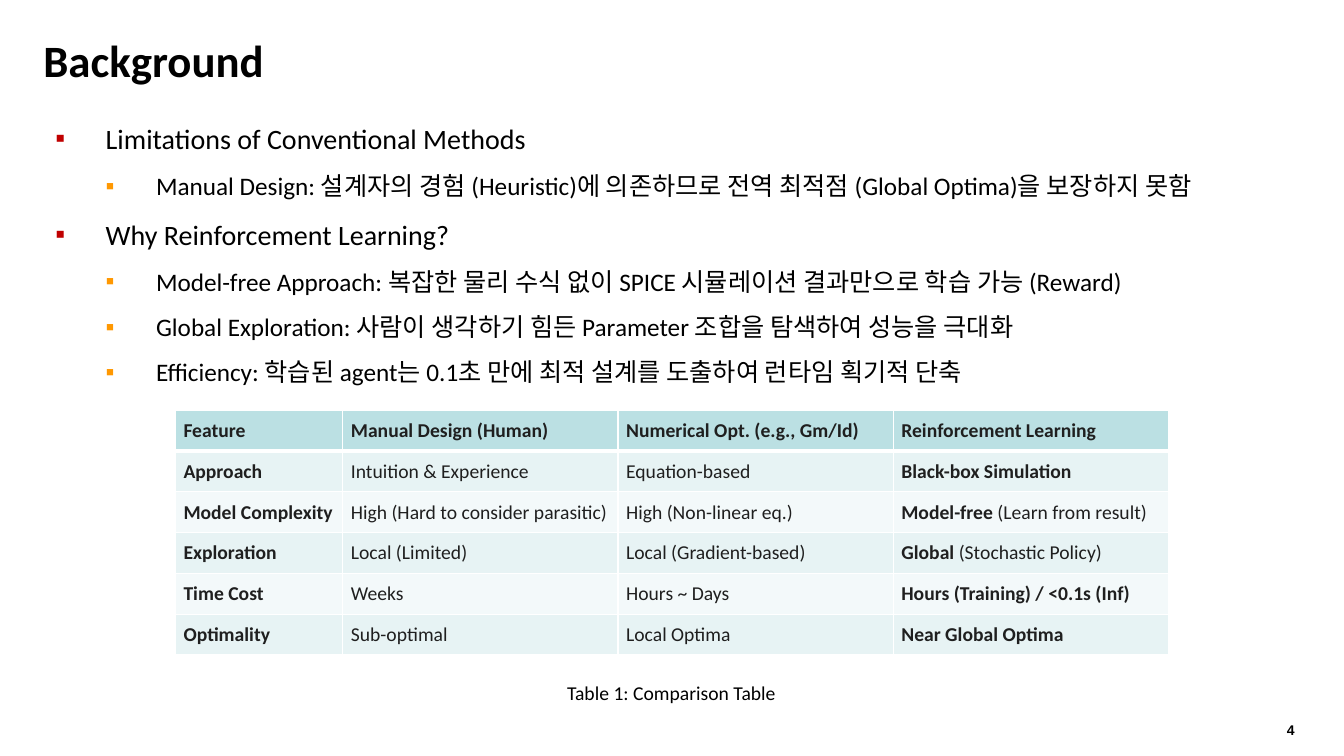
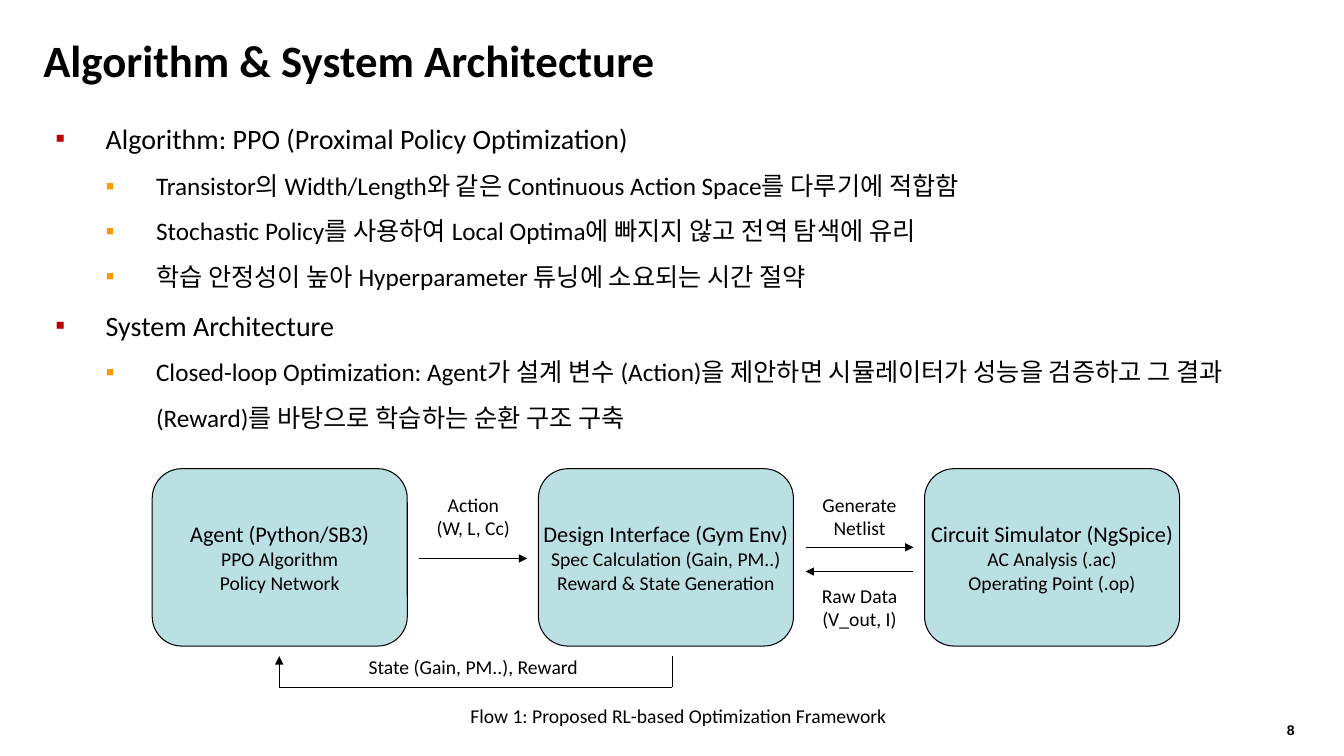
from lxml.etree import SubElement
from pptx import Presentation
from pptx.dml.color import RGBColor
from pptx.enum.shapes import MSO_CONNECTOR as CONNECTOR, MSO_SHAPE as SHAPE
from pptx.enum.text import MSO_ANCHOR as ANCHOR, PP_ALIGN as ALIGN
from pptx.oxml.ns import qn
from pptx.util import Inches, Pt

COLORS = {
    "text": "000000", "table_text": "1F1F1F", "white": "FFFFFF",
    "teal": "BBE0E3", "band_dark": "E7F3F4", "band_light": "F3F9FA",
    "bullet_0": "C00000", "bullet_1": "FF9801",
}
RGB = {name: RGBColor.from_string(value) for name, value in COLORS.items()}

prs = Presentation()
prs.slide_width, prs.slide_height = Inches(13.33), Inches(7.5)


def write(frame, paragraphs, align=ALIGN.LEFT, color="text", font="Calibri"):
    """Fill a frame; each paragraph is a list of (text, size, bold) runs."""
    for i, runs in enumerate(paragraphs):
        paragraph = frame.paragraphs[0] if i == 0 else frame.add_paragraph()
        paragraph.alignment = align
        for text, size, bold in runs:
            run = paragraph.add_run()
            run.text = text
            run.font.name, run.font.size, run.font.bold = font, Pt(size), bold
            run.font.color.rgb = RGB[color]


def start_slide(heading, page, outline, outline_height):
    """Add a slide with its title, page number and two-level outline."""
    slide = prs.slides.add_slide(prs.slide_layouts[5])
    title = slide.shapes.title
    title.left, title.top = Inches(0.33), Inches(0.21)
    title.width, title.height = Inches(12.68), Inches(0.76)
    title.text_frame.vertical_anchor = ANCHOR.MIDDLE
    write(title.text_frame, [[(heading, 32, True)]])

    number = slide.shapes.add_textbox(Inches(12.34), Inches(7.11), Inches(0.5), Inches(0.27))
    number.text_frame.margin_right = 0
    write(number.text_frame, [[(page, 10, True)]], ALIGN.RIGHT, font="Arial")

    body = slide.shapes.add_textbox(Inches(0.45), Inches(0.99), Inches(12.56),
                                    Inches(outline_height)).text_frame
    body.word_wrap = True
    write(body, [[(text, 18 if level else 20, False)] for level, text in outline])
    for paragraph, (level, _) in zip(body.paragraphs, outline):
        paragraph.level = level
        paragraph.line_spacing = 1.5
        props = paragraph._p.get_or_add_pPr()
        props.set("marL", str(Inches(0.5 + 0.5 * level)))
        props.set("indent", str(Inches(-0.5)))
        bullet_color = SubElement(props, qn("a:buClr"))
        SubElement(bullet_color, qn("a:srgbClr"), val=COLORS[f"bullet_{level}"])
        SubElement(props, qn("a:buFont"), typeface="Arial")
        SubElement(props, qn("a:buChar"), char="▪")
    return slide


# Background slide
background = start_slide("Background", "4", [
    (0, "Limitations of Conventional Methods"),
    (1, "Manual Design: 설계자의 경험 (Heuristic)에 의존하므로 전역 최적점 (Global Optima)을 보장하지 못함"),
    (0, "Why Reinforcement Learning?"),
    (1, "Model-free Approach: 복잡한 물리 수식 없이 SPICE 시뮬레이션 결과만으로 학습 가능 (Reward)"),
    (1, "Global Exploration: 사람이 생각하기 힘든 Parameter 조합을 탐색하여 성능을 극대화"),
    (1, "Efficiency: 학습된 agent는 0.1초 만에 최적 설계를 도출하여 런타임 획기적 단축"),
], 2.88)

# Comparison table: a tuple holds a bold part and a plain remark
comparison = [
    ["Feature", "Manual Design (Human)", "Numerical Opt. (e.g., Gm/Id)", "Reinforcement Learning"],
    ["Approach", "Intuition & Experience", "Equation-based", "Black-box Simulation"],
    ["Model Complexity", "High (Hard to consider parasitic)", "High (Non-linear eq.)",
     ("Model-free", " (Learn from result)")],
    ["Exploration", "Local (Limited)", "Local (Gradient-based)", ("Global", " (Stochastic Policy)")],
    ["Time Cost", "Weeks", "Hours ~ Days", "Hours (Training) / <0.1s (Inf)"],
    ["Optimality", "Sub-optimal", "Local Optima", "Near Global Optima"],
]
table = background.shapes.add_table(len(comparison), 4, Inches(1.74), Inches(4.07),
                                    Inches(9.84), Inches(2.43)).table
table.horz_banding = False
for column, width in zip(table.columns, [1.66, 2.73, 2.73, 2.73]):
    column.width = Inches(width)
for r, entries in enumerate(comparison):
    fill = "teal" if r == 0 else "band_dark" if r % 2 else "band_light"
    for c, entry in enumerate(entries):
        cell = table.cell(r, c)
        cell.vertical_anchor = ANCHOR.MIDDLE
        cell.margin_left = cell.margin_right = Inches(0.08)
        cell.margin_top = cell.margin_bottom = Inches(0.06)
        if isinstance(entry, tuple):
            runs = [(entry[0], 14, True), (entry[1], 14, False)]
        else:
            runs = [(entry, 14, r == 0 or c in (0, 3))]
        write(cell.text_frame, [runs], color="table_text")
        for side in ("lnL", "lnR", "lnT", "lnB"):
            thick = (r, side) in ((0, "lnB"), (1, "lnT"))
            border = SubElement(cell._tc.get_or_add_tcPr(), qn(f"a:{side}"),
                                w=str(Pt(3 if thick else 1)))
            SubElement(SubElement(border, qn("a:solidFill")), qn("a:srgbClr"), val=COLORS["white"])
        cell.fill.solid()
        cell.fill.fore_color.rgb = RGB[fill]

# Architecture slide
architecture = start_slide("Algorithm & System Architecture", "8", [
    (0, "Algorithm: PPO (Proximal Policy Optimization)"),
    (1, "Transistor의 Width/Length와 같은 Continuous Action Space를 다루기에 적합함"),
    (1, "Stochastic Policy를 사용하여 Local Optima에 빠지지 않고 전역 탐색에 유리"),
    (1, "학습 안정성이 높아 Hyperparameter 튜닝에 소요되는 시간 절약"),
    (0, "System Architecture"),
    (1, "Closed-loop Optimization: Agent가 설계 변수 (Action)을 제안하면 시뮬레이터가 성능을 "
        "검증하고 그 결과 (Reward)를 바탕으로 학습하는 순환 구조 구축"),
], 3.33)

# Stages of the loop
stages = [
    ("Agent (Python/SB3)", "PPO Algorithm", "Policy Network"),
    ("Design Interface (Gym Env)", "Spec Calculation (Gain, PM..)", "Reward & State Generation"),
    ("Circuit Simulator (NgSpice)", "AC Analysis (.ac)", "Operating Point (.op)"),
]
for i, (name, *details) in enumerate(stages):
    stage = architecture.shapes.add_shape(SHAPE.ROUNDED_RECTANGLE, Inches(1.51 + 3.83 * i),
                                          Inches(4.65), Inches(2.53), Inches(1.76))
    stage.shadow.inherit = False
    stage.fill.solid()
    stage.fill.fore_color.rgb = RGB["teal"]
    stage.line.color.rgb = RGB["text"]
    stage.line.width = Pt(0.75)
    stage.text_frame.word_wrap = False
    stage.text_frame.vertical_anchor = ANCHOR.MIDDLE
    write(stage.text_frame, [[(name, 16, False)]] + [[(detail, 14, False)] for detail in details],
          ALIGN.CENTER)

# Flows between the stages: start, end, arrowhead
flows = [
    ((4.16, 5.54), (5.23, 5.54), True),
    ((7.99, 5.43), (9.06, 5.43), True),
    ((9.06, 5.67), (7.99, 5.67), True),
    ((6.67, 6.51), (6.67, 6.82), False),
    ((6.67, 6.82), (2.77, 6.82), False),
    ((2.77, 6.82), (2.77, 6.51), True),
]
for start, end, has_head in flows:
    flow = architecture.shapes.add_connector(CONNECTOR.STRAIGHT, *map(Inches, start + end))
    flow.line.color.rgb = RGB["text"]
    flow.line.width = Pt(0.75)
    if has_head:
        SubElement(flow.line._get_or_add_ln(), qn("a:tailEnd"), type="triangle")
    SubElement(flow._element.spPr, qn("a:effectLst"))

# Captions and flow labels
labels = [
    (background, 1.74, 6.71, 9.84, ["Table 1: Comparison Table"]),
    (architecture, 4.31, 6.93, 4.84, ["Flow 1: Proposed RL-based Optimization Framework"]),
    (architecture, 3.43, 6.45, 2.53, ["State (Gain, PM..), Reward"]),
    (architecture, 4.16, 4.84, 1.07, ["Action", "(W, L, Cc)"]),
    (architecture, 7.99, 4.84, 1.07, ["Generate", "Netlist"]),
    (architecture, 7.99, 5.74, 1.07, ["Raw Data", "(V_out, I)"]),
]
for slide, left, top, width, lines in labels:
    label = slide.shapes.add_textbox(Inches(left), Inches(top), Inches(width),
                                     Inches(0.11 + 0.23 * len(lines)))
    label.text_frame.word_wrap = True
    write(label.text_frame, [[(line, 14, False)] for line in lines], ALIGN.CENTER)

prs.save("out.pptx")
